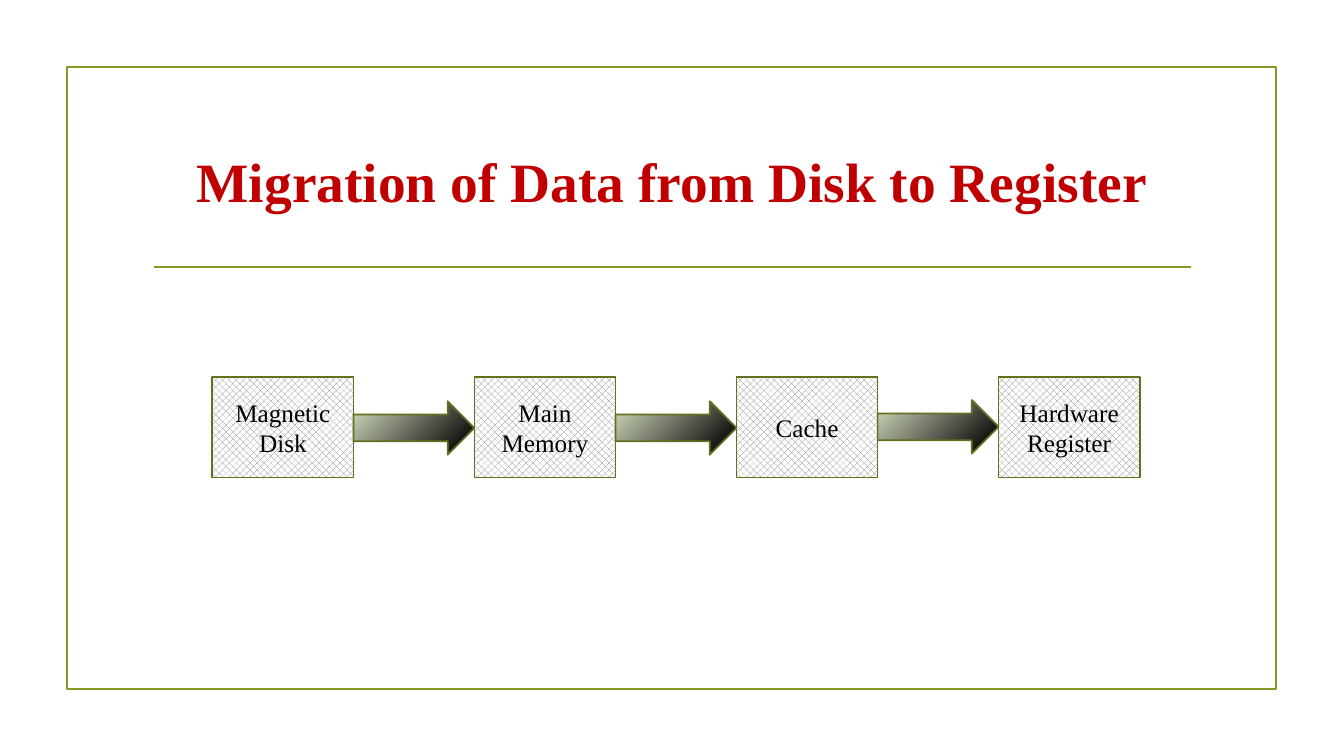
from lxml import etree
from pptx import Presentation
from pptx.dml.color import RGBColor
from pptx.enum.dml import MSO_PATTERN
from pptx.enum.shapes import MSO_CONNECTOR, MSO_SHAPE as SHAPE
from pptx.enum.text import MSO_ANCHOR, PP_ALIGN
from pptx.oxml import parse_xml
from pptx.oxml.ns import nsdecls, qn
from pptx.util import Pt

COLORS = {"frame": "83992A", "title": "C00000", "outline": "61711F", "text": "000000",
          "hatch": "808080", "paper": "FFFFFF"}
ARROW_STOPS = [(6, "000000"), (100, "D6DFC1"), (100, "EAEFE1")]
FONT = "Times New Roman"


def color(name):
    return RGBColor.from_string(COLORS[name])


def add_outlined(kind, left, top, width, height, line_color):
    shape = page.shapes.add_shape(kind, Pt(left), Pt(top), Pt(width), Pt(height))
    shape.shadow.inherit = False
    shape.line.color.rgb = color(line_color)
    shape.line.width = Pt(1.25)
    return shape


deck = Presentation()
deck.slide_width, deck.slide_height = Pt(960), Pt(540)
page = deck.slides.add_slide(deck.slide_layouts[5])

# Frame and rule under the title
frame = add_outlined(SHAPE.RECTANGLE, 47.7, 48, 864, 444, "frame")
frame.fill.background()
rule = page.shapes.add_connector(MSO_CONNECTOR.STRAIGHT, Pt(110), Pt(190.8), Pt(850.5), Pt(190.8))
rule.line.color.rgb = color("frame")
rule.line.width = Pt(1.25)
etree.SubElement(rule._element.spPr, qn("a:effectLst"))

# Title
title = page.shapes.title
title.left, title.top, title.width, title.height = Pt(102), Pt(77), Pt(756), Pt(103)
title.text_frame.text = "Migration of Data from Disk to Register"
title.text_frame.vertical_anchor = MSO_ANCHOR.MIDDLE
para = title.text_frame.paragraphs[0]
para.alignment = PP_ALIGN.CENTER
para.font.name, para.font.size, para.font.bold = FONT, Pt(39.6), True
para.font.color.rgb = color("title")

# Storage levels
first_left, step = 151.7, 187.2
box_top, box_width, box_height = 269.2, 100.8, 72
levels = ["Magnetic\nDisk", "Main\nMemory", "Cache", "Hardware\nRegister"]
for index, level in enumerate(levels):
    box = add_outlined(SHAPE.RECTANGLE, first_left + index * step, box_top,
                       box_width, box_height, "outline")
    box.fill.patterned()
    box.fill.pattern = MSO_PATTERN.PERCENT_50
    box.fill.fore_color.rgb = color("hatch")
    box.fill.back_color.rgb = color("paper")
    box.text_frame.text = level
    box.text_frame.vertical_anchor = MSO_ANCHOR.MIDDLE
    for para in box.text_frame.paragraphs:
        para.alignment = PP_ALIGN.CENTER
        para.font.name, para.font.size = FONT, Pt(18)
        para.font.color.rgb = color("text")

# Arrows between levels, shaded towards the lower right corner
stops = "".join(f'<a:gs pos="{position * 1000}"><a:srgbClr val="{shade}"/></a:gs>'
                for position, shade in ARROW_STOPS)
for index, arrow_top in enumerate([286.6, 286.6, 285.8]):
    arrow = add_outlined(SHAPE.RIGHT_ARROW, first_left + index * step + box_width, arrow_top,
                         step - box_width, 38.2, "outline")
    gradient = parse_xml(
        f'<a:gradFill {nsdecls("a")} rotWithShape="1"><a:gsLst>{stops}</a:gsLst>'
        '<a:path path="circle"><a:fillToRect l="100000" t="100000"/></a:path></a:gradFill>')
    arrow._element.spPr.find(qn("a:prstGeom")).addnext(gradient)

deck.save("out.pptx")
